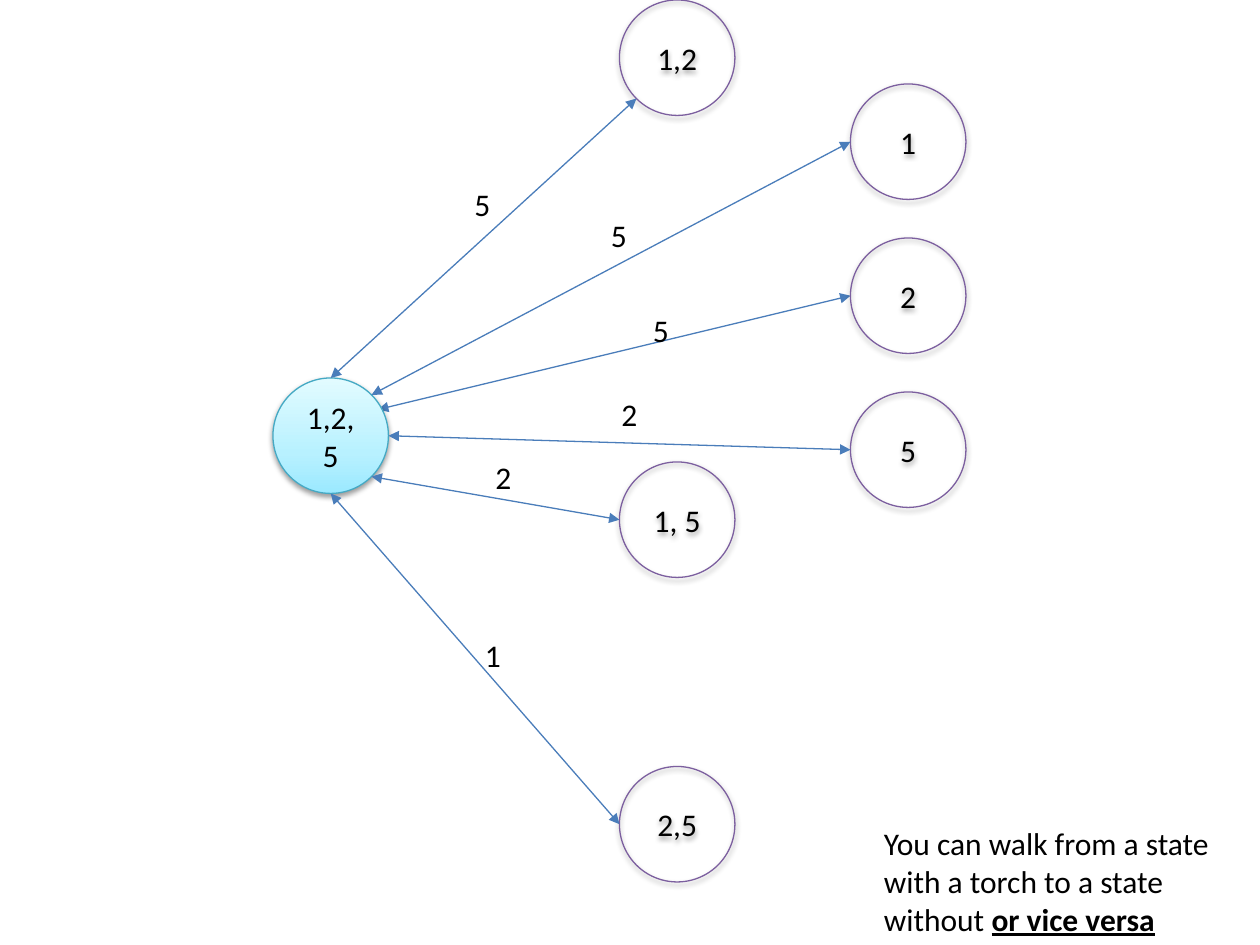
from math import cos, radians, sin

from lxml.etree import SubElement
from pptx import Presentation
from pptx.dml.color import RGBColor
from pptx.enum.shapes import MSO_CONNECTOR, MSO_SHAPE
from pptx.enum.text import MSO_ANCHOR, MSO_AUTO_SIZE, PP_ALIGN
from pptx.oxml.ns import qn
from pptx.util import Inches, Pt

COLORS = {"text": "000000", "edge": "4A7DBA", "state": "7C5F9F", "start": "45A9C4", "shadow": "000000"}
START_GRADIENT = [(0, "9BE9FF"), (35, "B8F1FF"), (100, "E2FBFF")]
COLUMNS, ROWS = 120, 90
DIAMETER = 11
LABEL_SIZE = (4, 5)
START = (26, 36)


def port(corner, angle):
    """Return the grid point on a circle's rim, with the angle counted anticlockwise from the right."""
    radius = DIAMETER / 2
    left, top = corner
    return left + radius * (1 + cos(radians(angle))), top + radius * (1 - sin(radians(angle)))


class StateDiagram:
    """Draws states, transitions and text on a slide measured in grid columns and rows."""

    def __init__(self, font="Calibri", size=18, stroke=0.75):
        self.font, self.size, self.stroke = font, Pt(size), Pt(stroke)
        self.deck = Presentation()
        self.deck.slide_width, self.deck.slide_height = Inches(10), Inches(7.5)
        self.slide = self.deck.slides.add_slide(self.deck.slide_layouts[6])

    def place(self, columns, rows):
        return round(self.deck.slide_width * columns / COLUMNS), round(self.deck.slide_height * rows / ROWS)

    def style_line(self, line, color):
        line.color.rgb = RGBColor.from_string(COLORS[color])
        line.width = self.stroke

    def style_run(self, run):
        run.font.name, run.font.size = self.font, self.size
        run.font.color.rgb = RGBColor.from_string(COLORS["text"])

    def state(self, name, corner, color="state", gradient=None):
        circle = self.slide.shapes.add_shape(
            MSO_SHAPE.OVAL, *self.place(*corner), *self.place(DIAMETER, DIAMETER))
        if gradient:
            self.gradient(circle, gradient)
        else:
            circle.fill.background()
        self.style_line(circle.line, color)
        self.soft_shadow(circle)
        frame = circle.text_frame
        frame.text = name
        frame.word_wrap = True
        frame.vertical_anchor = MSO_ANCHOR.MIDDLE
        frame.paragraphs[0].alignment = PP_ALIGN.CENTER
        self.style_run(frame.paragraphs[0].runs[0])

    def gradient(self, circle, stops):
        circle.fill.gradient()
        circle.fill.gradient_angle = 90
        stop_list = circle.element.spPr.find(".//" + qn("a:gsLst"))
        for default_stop in list(stop_list):
            stop_list.remove(default_stop)
        for percent, color in stops:
            stop = SubElement(stop_list, qn("a:gs"), pos=str(percent * 1000))
            SubElement(stop, qn("a:srgbClr"), val=color)

    def soft_shadow(self, circle):
        circle.shadow.inherit = False
        effects = circle.element.spPr.find(qn("a:effectLst"))
        shadow = SubElement(effects, qn("a:outerShdw"), blurRad="40000", dist="20000",
                            dir="5400000", rotWithShape="0")
        tint = SubElement(shadow, qn("a:srgbClr"), val=COLORS["shadow"])
        SubElement(tint, qn("a:alpha"), val="38000")

    def transition(self, begin, end):
        arrow = self.slide.shapes.add_connector(
            MSO_CONNECTOR.STRAIGHT, *self.place(*begin), *self.place(*end))
        self.style_line(arrow.line, "edge")
        for tip in ("a:headEnd", "a:tailEnd"):
            SubElement(arrow.line._get_or_add_ln(), qn(tip), type="triangle")
        SubElement(arrow._element.spPr, qn("a:effectLst"))

    def text(self, corner, extent, plain, emphasis=None):
        box = self.slide.shapes.add_textbox(*self.place(*corner), *self.place(*extent))
        frame = box.text_frame
        frame.word_wrap = True
        frame.auto_size = MSO_AUTO_SIZE.SHAPE_TO_FIT_TEXT
        paragraph = frame.paragraphs[0]
        paragraph.text = plain
        if emphasis:
            stressed = paragraph.add_run()
            stressed.text = emphasis
            stressed.font.bold = stressed.font.underline = True
        for run in paragraph.runs:
            self.style_run(run)

    def save(self):
        self.deck.save("out.pptx")


def main():
    middle, right = 59, 81
    first_row, row_step = 8, 44 / 3
    states = {
        "1,2": (middle, 0),
        "1, 5": (middle, 44),
        "2,5": (middle, 73),
        **{name: (right, first_row + index * row_step) for index, name in enumerate(["1", "2", "5"])},
    }
    transitions = [
        ("1,2", port(START, 90), 225),
        ("1, 5", port(START, -45), 180),
        ("2,5", port(START, -90), 180),
        ("1", port(START, 45), 180),
        ("5", port(START, 0), 180),
    ]
    costs = [("5", (44, 17)), ("5", (57, 20)), ("5", (61, 29)),
             ("2", (58, 37)), ("2", (46, 43)), ("1", (45, 60))]

    diagram = StateDiagram()
    diagram.transition((36, 39), port(states["2"], 180))
    diagram.state("1,2,5", START, "start", START_GRADIENT)
    for name, corner in states.items():
        diagram.state(name, corner)
    for name, begin, angle in transitions:
        diagram.transition(begin, port(states[name], angle))
    for cost, corner in costs:
        diagram.text(corner, LABEL_SIZE, cost)
    diagram.text((83, 77.88), (37, 12.12),
                 "You can walk from a state with a torch to a state without ", "or vice versa")
    diagram.save()


if __name__ == "__main__":
    main()
